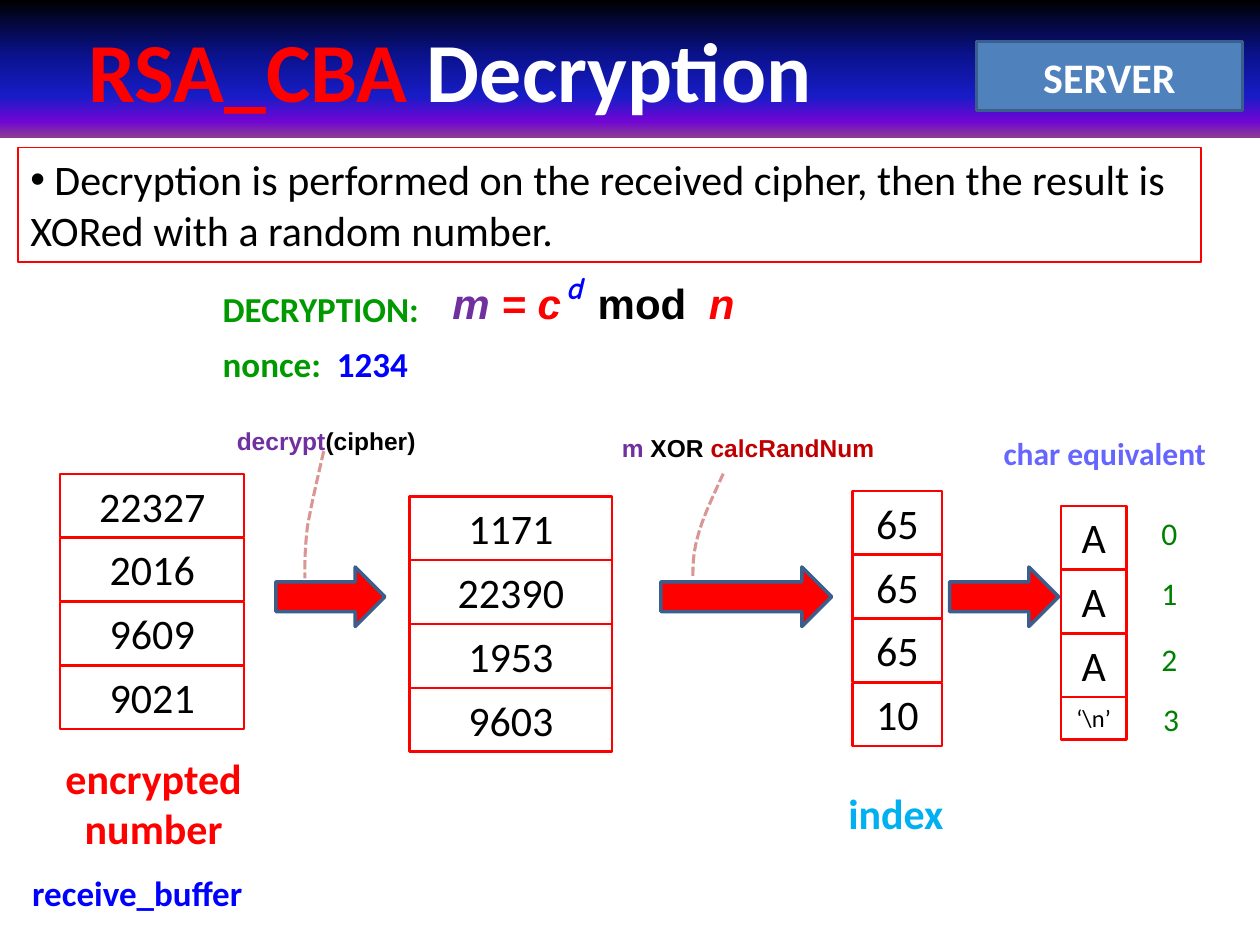
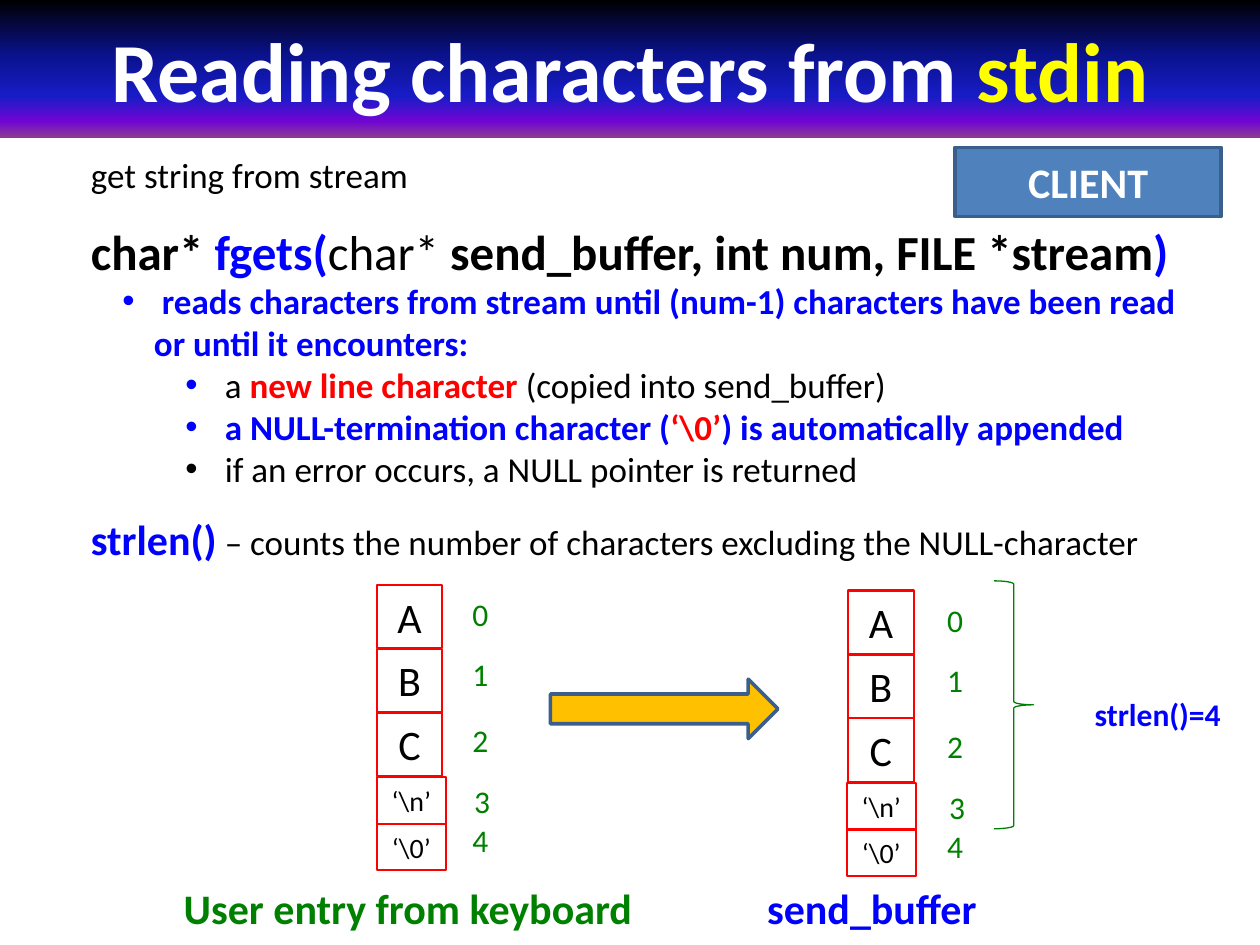
from itertools import accumulate, repeat

from lxml.etree import SubElement
from pptx import Presentation
from pptx.dml.color import RGBColor
from pptx.enum.dml import MSO_LINE
from pptx.enum.shapes import MSO_SHAPE as Preset
from pptx.enum.text import MSO_ANCHOR as Anchor, MSO_AUTO_SIZE as AutoSize, PP_ALIGN as Align
from pptx.oxml.ns import qn
from pptx.util import Pt

COLOURS = {
    "black": "000000", "white": "FFFFFF", "red": "FF0000", "blue": "0000FF",
    "yellow": "FFFF00", "green": "008000", "leaf": "009900", "purple": "7030A0",
    "sky": "00B0F0", "lilac": "6666FF", "crimson": "C00000", "rose": "D99694",
    "amber": "FFC000", "steel": "4F81BD", "outline": "3A5F8C",
}
BAND_STOPS = [(0, "000000"), (40, "0A128C"), (70, "181CC7"), (88, "7005D4"), (100, "8C3D91")]
INDEX_OFFSETS = [(0, 0), (0, 34), (0, 72), (1, 106.5), (0, 129)]
CELL_PITCH, SMALL_PITCH = 36.5, 26.6


class Deck:
    """Hold the shared style and the current slide, and draw each kind of element."""

    def __init__(self):
        self.presentation = Presentation()
        self.presentation.slide_width, self.presentation.slide_height = Pt(720), Pt(540)
        self.slide = None

    def new_slide(self):
        self.slide = self.presentation.slides.add_slide(self.presentation.slide_layouts[6])

    def colour(self, name):
        return RGBColor.from_string(COLOURS[name])

    def style_font(self, font, colour=None, size=None, bold=None, italic=None, name=None):
        if colour:
            font.color.rgb = self.colour(colour)
        if size:
            font.size = Pt(size)
        if bold is not None:
            font.bold = bold
        if italic is not None:
            font.italic = italic
        if name:
            font.name = name

    def fill_paragraph(self, paragraph, runs, size=20, bold=False, italic=None, name="Calibri",
                       align=Align.LEFT, before=0, bullet=None, tabs=()):
        paragraph.alignment = align
        paragraph.space_before = Pt(before)
        properties = paragraph._p.get_or_add_pPr()
        if bullet:
            margin, indent = bullet
            properties.set("marL", str(Pt(margin)))
            properties.set("indent", str(Pt(indent)))
            SubElement(properties, qn("a:buFont"), typeface="Arial")
            SubElement(properties, qn("a:buChar"), char="•")
        if tabs:
            stops = SubElement(properties, qn("a:tabLst"))
            for position in tabs:
                SubElement(stops, qn("a:tab"), pos=str(Pt(position)), algn="l")
        shared = runs[0][1] if len({run[1] for run in runs}) == 1 else None
        self.style_font(paragraph.font, shared, size, bold, italic, name)
        for text, colour, *changes in runs:
            run = paragraph.add_run()
            run.text = text
            self.style_font(run.font, None if shared else colour, **(changes[0] if changes else {}))

    def text(self, left, top, width, height, *paragraphs, wrap=False, **style):
        box = self.slide.shapes.add_textbox(Pt(left), Pt(top), Pt(width), Pt(height))
        frame = box.text_frame
        frame.word_wrap, frame.auto_size = wrap, AutoSize.SHAPE_TO_FIT_TEXT
        for number, (runs, own) in enumerate(paragraphs):
            paragraph = frame.add_paragraph() if number else frame.paragraphs[0]
            self.fill_paragraph(paragraph, runs, **{**style, **own})

    def label(self, left, top, width, height, *runs, **style):
        self.text(left, top, width, height, (runs, {}), **style)

    def shape(self, preset, left, top, width, height, fill=None, line=None, weight=2.0):
        shape = self.slide.shapes.add_shape(preset, Pt(left), Pt(top), Pt(width), Pt(height))
        shape.shadow.inherit = False
        if fill:
            shape.fill.solid()
            shape.fill.fore_color.rgb = self.colour(fill)
        else:
            shape.fill.background()
        if line:
            shape.line.color.rgb = self.colour(line)
            shape.line.width = Pt(weight)
        else:
            shape.line.fill.background()
        shape.text_frame.word_wrap = True
        return shape

    def title(self, *runs, align=Align.CENTER, margin=7.2):
        band = self.shape(Preset.RECTANGLE, 0, 0, 720, 78.75)
        band.fill.gradient()
        band.fill.gradient_angle = 270
        stops = band._element.spPr.find(qn("a:gradFill")).find(qn("a:gsLst"))
        stops.clear()
        for percent, value in BAND_STOPS:
            stop = SubElement(stops, qn("a:gs"), pos=str(percent * 1000))
            SubElement(stop, qn("a:srgbClr"), val=value)
        frame = band.text_frame
        frame.margin_left, frame.vertical_anchor = Pt(margin), Anchor.MIDDLE
        self.fill_paragraph(frame.paragraphs[0], runs, size=48, bold=True, align=align)

    def role(self, left, top, name):
        badge = self.shape(Preset.RECTANGLE, left, top, 152, 39.5, "steel", "outline")
        badge.text_frame.vertical_anchor = Anchor.MIDDLE
        self.fill_paragraph(badge.text_frame.paragraphs[0], [(name, "white")], size=24, bold=True,
                            align=Align.CENTER)

    def framed(self, left, top, width, height, text, weight=1.25, **style):
        box = self.shape(Preset.RECTANGLE, left, top, width, height, None, "red", weight)
        box.text_frame.vertical_anchor = Anchor.TOP
        box.text_frame.auto_size = AutoSize.SHAPE_TO_FIT_TEXT
        self.fill_paragraph(box.text_frame.paragraphs[0], [(text, "black")], **style)

    def column(self, left, top, width, values, size=24, height=36.35, pitch=CELL_PITCH):
        tops = accumulate(repeat(pitch), initial=top)
        for value, cell_top in zip(values, tops):
            self.framed(left, cell_top, width, height, value, size=size, align=Align.CENTER)

    def indices(self, left, top, count):
        for number, (across, down) in enumerate(INDEX_OFFSETS[:count]):
            self.label(left + across, top + down, 24, 29, (str(number), "green"), size=18)

    def arrow(self, left, top, width, fill="red"):
        self.shape(Preset.RIGHT_ARROW, left, top, width, 34, fill, "outline")

    def curve(self, points):
        start, *rest = points
        builder = self.slide.shapes.build_freeform(Pt(start[0]), Pt(start[1]), 1.0)
        for first in range(0, len(rest), 3):
            controls = [start, *rest[first:first + 3]]
            builder.add_line_segments(
                [tuple(Pt(value) for value in bezier(controls, step / 10)) for step in range(1, 11)],
                close=False)
            start = controls[-1]
        shape = builder.convert_to_shape()
        shape.shadow.inherit = False
        shape.fill.background()
        shape.line.color.rgb = self.colour("rose")
        shape.line.width = Pt(1.75)
        shape.line.dash_style = MSO_LINE.SQUARE_DOT


def bezier(controls, t):
    weights = ((1 - t) ** 3, 3 * t * (1 - t) ** 2, 3 * t * t * (1 - t), t ** 3)
    return [sum(w * value for w, value in zip(weights, axis)) for axis in zip(*controls)]


def decryption_slide(deck):
    deck.new_slide()
    deck.title(("RSA_CBA", "red"), (" Decryption", "white"), align=Align.LEFT, margin=50.6)
    deck.framed(10.3, 84.3, 676, 65.5,
                " Decryption is performed on the received cipher, then the result is "
                "XORed with a random number.", weight=0.75, size=24, bullet=(0, 0))
    deck.role(558, 23.8, "SERVER")

    deck.label(120.2, 160.5, 127, 31.5, ("DECRYPTION:", "leaf"), bold=True)
    deck.label(120.2, 192.2, 122, 31.5, ("nonce:\t", "leaf"), ("1234", "blue"), bold=True,
               tabs=[65.3])
    deck.label(251.5, 154.8, 180, 36.7, ("m ", "purple"), ("= c\t", "red"),
               ("mod\t", "black", {"italic": False}), ("n", "red"), size=24, bold=True,
               italic=True, name="Arial", wrap=True, tabs=[83, 146.5])
    deck.label(316.8, 149.8, 25, 29.5, ("d", "blue"), size=18, bold=True, italic=True,
               name="Comic Neue", align=Align.CENTER)

    deck.column(34.4, 270.8, 105.2, ["22327", "2016", "9609", "9021"])
    deck.column(234, 283.7, 116, ["1171", "22390", "1953", "9603"])
    deck.column(487.2, 280.6, 51.2, ["65", "65", "65", "10"])
    deck.column(606.2, 289, 37.5, ["A"] * 3)
    deck.column(606.2, 398.4, 37.5, ["‘\\n’"], size=14, height=24.2)
    deck.indices(656.6, 290.2, 4)
    for left, width in ((157.7, 62.3), (377.7, 97.5), (542.6, 62.3)):
        deck.arrow(left, 324, width)

    deck.label(128.2, 239.8, 121, 24.2, ("decrypt", "purple"), ("(cipher)", "black"), size=14,
               bold=True, name="Arial")
    deck.label(348.3, 243.9, 163.5, 24.2, ("m", "purple"), (" XOR ", "black"),
               ("calcRandNum", "crimson"), size=14, bold=True, name="Arial")
    deck.label(566.4, 244.3, 131, 29, ("char equivalent", "lilac"), size=18, bold=True)
    deck.curve([(185, 257.8), (181.4, 273.6), (177.8, 288.7), (175.7, 301),
                (174.2, 313.2), (174.2, 321.8), (174.2, 330.5)])
    deck.curve([(413.3, 270.7), (407.5, 283.7), (401.8, 295.2), (398.9, 306),
                (396, 316.1), (396, 323.3), (396, 330.5)])

    deck.text(5.8, 426.5, 164, 65.5, ([("encrypted", "red")], {}), ([("number", "red")], {}),
              size=24, bold=True, align=Align.CENTER, wrap=True)
    deck.label(477.5, 446.4, 69, 36.4, ("index", "sky"), size=24, bold=True, align=Align.CENTER)
    deck.label(11.3, 494.6, 137, 31.5, ("receive_buffer", "blue"), bold=True)


def stdin_slide(deck):
    deck.new_slide()
    deck.title(("Reading characters from ", "white"), ("stdin", "yellow"))
    plain, strong = {"bold": False}, {"bold": True}
    point, detail = {"bullet": (36, -18)}, {"bullet": (72, -18)}
    deck.text(
        44.9, 84.2, 653, 243.5,
        ([("get string from stream", "black")], {}),
        ([("char* ", "black"), ("fgets(", "blue"), ("char* ", "black", plain),
          ("send_buffer, int num, FILE *stream", "black"), (")", "blue")],
         {"size": 28, "bold": True, "before": 14.6}),
        ([(" reads characters from stream until (num-1) characters have been read "
           "or until it encounters:", "blue")], {"bold": True, **point}),
        ([(" ", "blue", strong), ("a ", "black"), ("new line character ", "red", strong),
          ("(copied into send_buffer)", "black")], detail),
        ([(" a NULL-termination character (", "blue"), ("‘\\0’", "red"),
          (") is automatically appended", "blue")], {"bold": True, **detail}),
        ([(" if an error occurs, a NULL pointer is returned", "black")], detail),
        ([("strlen()", "blue", {"size": 24, "bold": True}),
          (" – counts the number of characters excluding the NULL-character", "black")],
         {"before": 13.4}),
        wrap=True)
    deck.role(545.8, 84.2, "CLIENT")

    for left, top, small_left, index_left in ((215.3, 334.2, 215.3, 262.8),
                                              (484.6, 337.5, 483.8, 534.2)):
        deck.column(left, top, 37.5, ["A", "B", "C"])
        deck.column(small_left, top + 110, 39.6, ["‘\\n’", "‘\\0’"], size=16,
                    height=26.6, pitch=SMALL_PITCH)
        deck.indices(index_left, top + 2.5, 5)
    deck.arrow(314.6, 388.1, 130, "amber")
    deck.shape(Preset.RIGHT_BRACE, 568.1, 331.9, 22.5, 141.7, None, "green", 0.75)

    deck.label(618.5, 393.8, 88, 29, ("strlen()=4", "blue"), size=18, bold=True)
    deck.label(97.9, 500.7, 273, 36.4, ("User entry from keyboard", "green"), size=24, bold=True)
    deck.label(431.3, 500.9, 136, 36.4, ("send_buffer", "blue"), size=24, bold=True)


def main():
    deck = Deck()
    decryption_slide(deck)
    stdin_slide(deck)
    deck.presentation.save("out.pptx")


if __name__ == "__main__":
    main()
